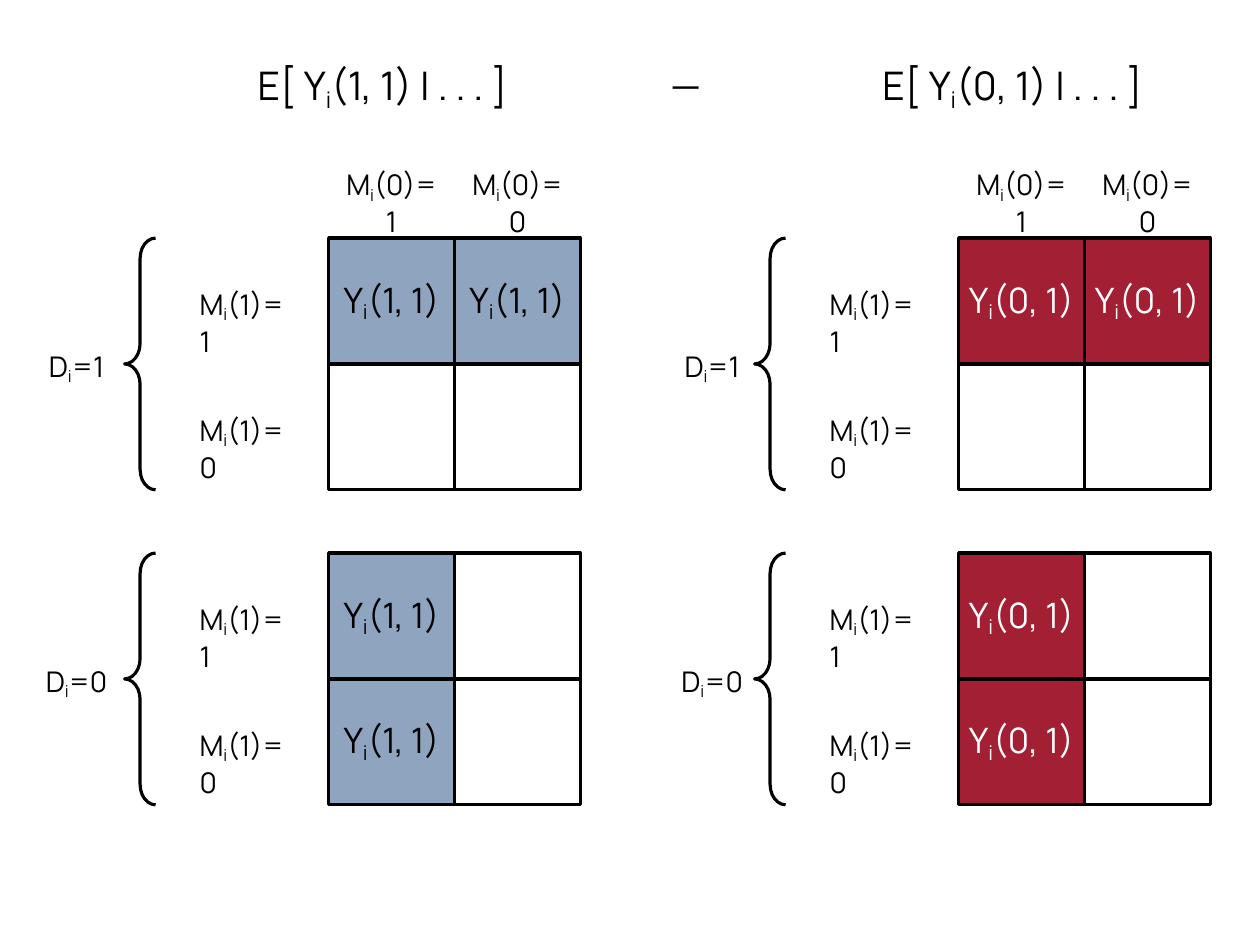
from dataclasses import dataclass

from pptx import Presentation
from pptx.dml.color import RGBColor
from pptx.enum.shapes import MSO_SHAPE
from pptx.enum.text import MSO_ANCHOR, MSO_AUTO_SIZE, PP_ALIGN
from pptx.util import Cm, Pt

RECT, BRACE = MSO_SHAPE.RECTANGLE, MSO_SHAPE.LEFT_BRACE
LEFT, CENTER = PP_ALIGN.LEFT, PP_ALIGN.CENTER
TOP, MIDDLE = MSO_ANCHOR.TOP, MSO_ANCHOR.MIDDLE


@dataclass(frozen=True)
class Theme:
    font: str = "Manrope"
    black: RGBColor = RGBColor(0x00, 0x00, 0x00)
    white: RGBColor = RGBColor(0xFF, 0xFF, 0xFF)
    blue: RGBColor = RGBColor(0x8F, 0xA4, 0xBF)
    red: RGBColor = RGBColor(0xA3, 0x1F, 0x34)
    heading: Pt = Pt(18)
    cell: Pt = Pt(16)
    label: Pt = Pt(13)
    line: Pt = Pt(1.45)


THEME = Theme()

# Layout in centimetres
CELL = 2.03
PANEL_PITCH = 10.16
BLOCK_PITCH = 5.08
GRID_X, GRID_Y = 5.3, 3.84
HEADING_Y = 0.86

# Shaded cells (row, column) of each block, by value of D
SHADED = {1: {(0, 0), (0, 1)}, 0: {(0, 0), (1, 0)}}


def write_formula(tf, text, size, color=THEME.black, align=CENTER):
    """Write text; the letter after an underscore becomes a subscript."""
    p = tf.paragraphs[0]
    p.alignment = align
    p.font.name, p.font.size, p.font.color.rgb = THEME.font, size, color
    base, _, tail = text.partition("_")
    for part, subscript in ((base, False), (tail[:1], True), (tail[1:], False)):
        if part:
            r = p.add_run()
            r.text = part
            if subscript:
                r._r.get_or_add_rPr().set("baseline", "-20000")


def add_label(s, text, x, y, w, h, size=THEME.label, align=CENTER):
    tf = s.shapes.add_textbox(Cm(x), Cm(y), Cm(w), Cm(h)).text_frame
    tf.word_wrap = True
    write_formula(tf, text, size, align=align)


def add_title(s, text, x, y, w, h):
    title = s.shapes.title
    title.left, title.top, title.width, title.height = Cm(x), Cm(y), Cm(w), Cm(h)
    tf = title.text_frame
    tf.vertical_anchor, tf.auto_size = TOP, MSO_AUTO_SIZE.NONE
    write_formula(tf, text, THEME.heading)


def add_outlined(s, kind, x, y, w, h):
    sp = s.shapes.add_shape(kind, Cm(x), Cm(y), Cm(w), Cm(h))
    sp.shadow.inherit = False
    sp.line.color.rgb, sp.line.width = THEME.black, THEME.line
    return sp


def add_cell(s, x, y, fill, text="", color=THEME.black):
    sp = add_outlined(s, RECT, x, y, CELL, CELL)
    sp.fill.solid()
    sp.fill.fore_color.rgb = fill
    if text:
        tf = sp.text_frame
        tf.word_wrap, tf.vertical_anchor = False, MIDDLE
        tf.margin_left = tf.margin_right = Cm(0.23)
        tf.margin_top = tf.margin_bottom = Cm(0.1)
        write_formula(tf, text, THEME.cell, color)


def add_brace(s, x, y):
    sp = add_outlined(s, BRACE, x, y, 0.5, 2 * CELL)
    sp.adjustments[0] = 0.66
    sp.fill.background()


def add_block(s, x, y, d, outcome, fill, color, label_offset):
    """One two-by-two grid with its brace, D label and row labels."""
    add_label(s, f"D_i={d}", x + label_offset, y + 1.66, CELL, 1.9)
    add_brace(s, x + 2.01, y)
    for row in range(2):
        row_y = y + row * CELL
        add_label(s, f"M_i(1)={1 - row}", x + 2.97, row_y + 0.66, CELL, 2.74, align=LEFT)
        for col in range(2):
            cell_x = x + GRID_X + col * CELL
            if (row, col) in SHADED[d]:
                add_cell(s, cell_x, row_y, fill, outcome, color)
            else:
                add_cell(s, cell_x, row_y, THEME.white)


def add_panel(s, x, outcome, fill, color, label_offset):
    for block, d in enumerate((1, 0)):
        add_block(s, x, GRID_Y + block * BLOCK_PITCH, d, outcome, fill, color, label_offset)
    for col in range(2):
        add_label(s, f"M_i(0)={1 - col}", x + GRID_X + col * CELL, 2.57, CELL, 2.74)


def main():
    prs = Presentation()
    prs.slide_width, prs.slide_height = Cm(20.32), Cm(15.24)
    s = prs.slides.add_slide(prs.slide_layouts[5])

    # Difference of expectations
    add_title(s, "E[ Y_i(1, 1) | . . . ]", 3.25, HEADING_Y, 5.84, 1.98)
    add_label(s, "—", 10.41, HEADING_Y, 1.3, 1.12, THEME.heading)
    add_label(s, "E[ Y_i(0, 1) | . . . ]", 3.25 + PANEL_PITCH, HEADING_Y, 5.84, 1.98,
              THEME.heading)

    # One panel for each expectation
    add_panel(s, 0, "Y_i(1, 1)", THEME.blue, THEME.black, 0.22)
    add_panel(s, PANEL_PITCH, "Y_i(0, 1)", THEME.red, THEME.white, 0.31)

    prs.save("out.pptx")


if __name__ == "__main__":
    main()
